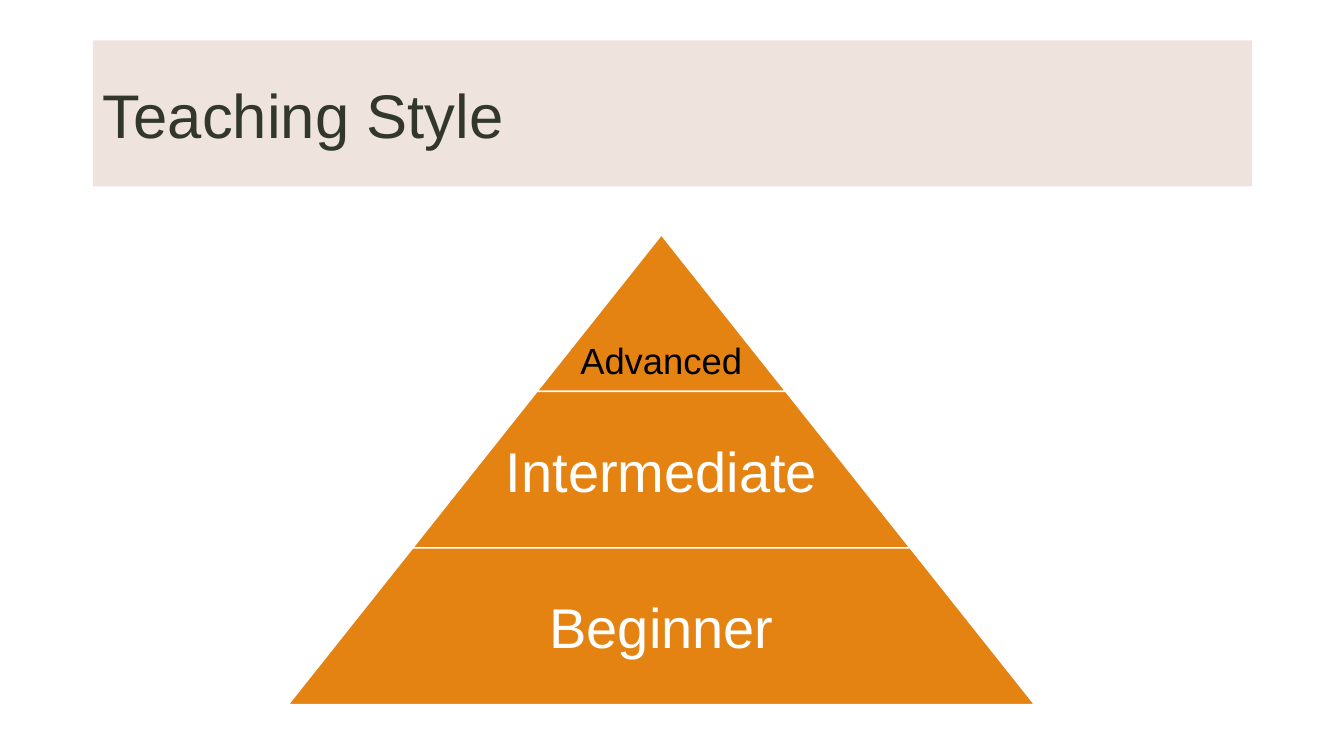
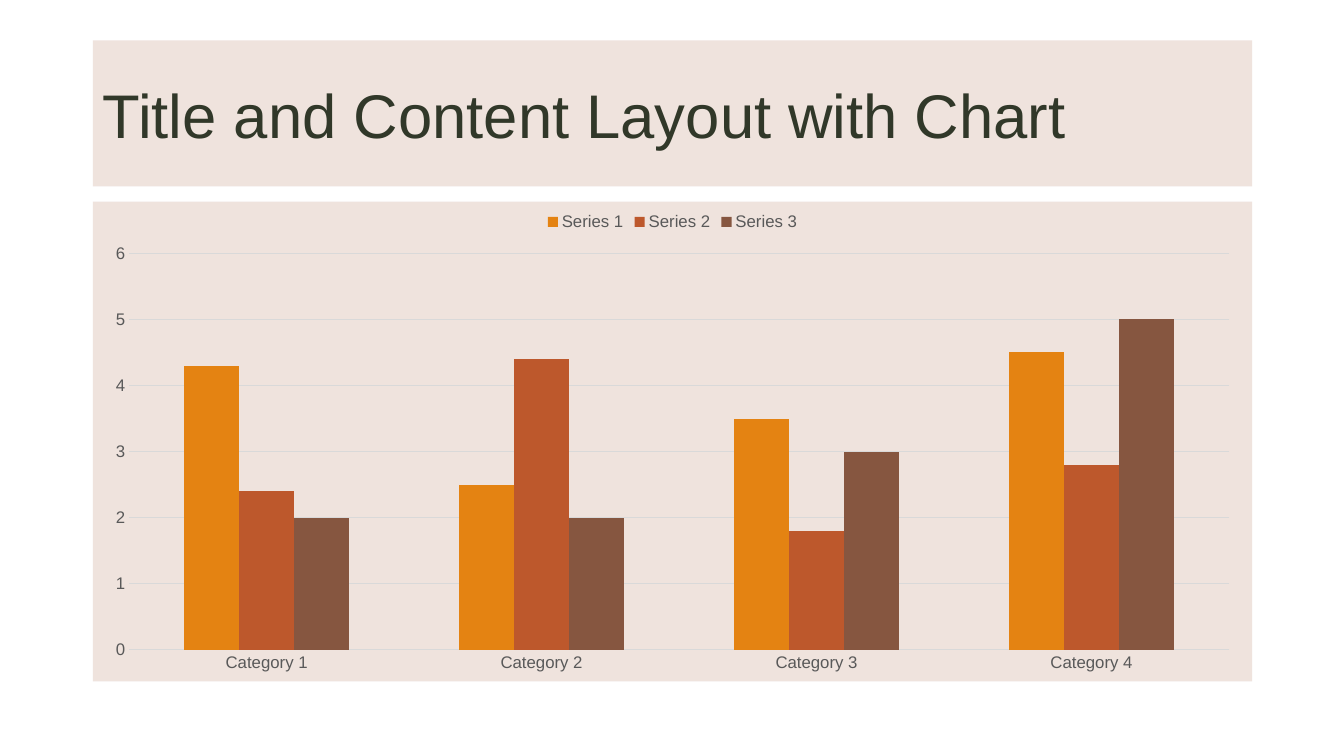
from lxml import etree
from pptx import Presentation
from pptx.chart.data import CategoryChartData
from pptx.dml.color import RGBColor
from pptx.enum.chart import XL_CHART_TYPE, XL_LEGEND_POSITION, XL_TICK_MARK
from pptx.enum.shapes import MSO_SHAPE
from pptx.enum.text import MSO_ANCHOR, MSO_AUTO_SIZE, PP_ALIGN
from pptx.oxml.ns import qn
from pptx.util import Inches, Pt

COLUMNS = XL_CHART_TYPE.COLUMN_CLUSTERED
LEGEND_TOP = XL_LEGEND_POSITION.TOP
NO_TICK = XL_TICK_MARK.NONE
TRAPEZOID = MSO_SHAPE.TRAPEZOID
MIDDLE = MSO_ANCHOR.MIDDLE
NO_AUTOFIT = MSO_AUTO_SIZE.NONE
LEFT, CENTER = PP_ALIGN.LEFT, PP_ALIGN.CENTER

FONT = "Arial"
BAND, DARK, ORANGE, RUST, BROWN = "EBDCD5", "313829", "E48312", "BD582C", "865640"
WHITE, BLACK, GRAY, GRID = "FFFFFF", "000000", "595959", "D9D9D9"
BAND_OPACITY = 80000
MARGIN, CONTENT_WIDTH = 0.92, 11.5


def color(hex_text):
    return RGBColor.from_string(hex_text)


def set_font(font, size, hex_text):
    font.name = FONT
    font.size = Pt(size)
    font.color.rgb = color(hex_text)


deck = Presentation()
deck.slide_width, deck.slide_height = Inches(13.33), Inches(7.5)

pages = []
for heading in ["Teaching Style", "Title and Content Layout with Chart"]:
    page = deck.slides.add_slide(deck.slide_layouts[5])
    title = page.shapes.title
    title.left, title.top = Inches(MARGIN), Inches(0.4)
    title.width, title.height = Inches(CONTENT_WIDTH), Inches(1.45)
    title.fill.solid()
    title.fill.fore_color.rgb = color(BAND)
    band_color = title.element.spPr.find(qn("a:solidFill")).find(qn("a:srgbClr"))
    etree.SubElement(band_color, qn("a:alpha")).set("val", str(BAND_OPACITY))
    frame = title.text_frame
    frame.text = heading
    frame.auto_size = NO_AUTOFIT
    frame.vertical_anchor = MIDDLE
    para = frame.paragraphs[0]
    para.alignment = LEFT
    set_font(para.font, 44, DARK)
    pages.append(page)

pyramid_page, chart_page = pages

PYRAMID_CENTER, PYRAMID_TOP = 6.56, 2.33
TIER_WIDTH, TIER_HEIGHT = 2.467, 1.553
for tier in range(3):
    width = TIER_WIDTH * (tier + 1)
    trapezoid = pyramid_page.shapes.add_shape(
        TRAPEZOID,
        Inches(PYRAMID_CENTER - width / 2),
        Inches(PYRAMID_TOP + TIER_HEIGHT * tier),
        Inches(width),
        Inches(TIER_HEIGHT),
    )
    trapezoid.adjustments[0] = TIER_WIDTH / 2 / TIER_HEIGHT
    trapezoid.shadow.inherit = False
    trapezoid.fill.solid()
    trapezoid.fill.fore_color.rgb = color(ORANGE)
    trapezoid.line.color.rgb = color(WHITE)
    trapezoid.line.width = Pt(1)

labels = [
    ("Advanced", 3.3, 2.9, 0.54, 26, BLACK),
    ("Intermediate", PYRAMID_TOP + TIER_HEIGHT, 3.6, TIER_HEIGHT, 40, WHITE),
    ("Beginner", PYRAMID_TOP + TIER_HEIGHT * 2, 4.81, TIER_HEIGHT, 40, WHITE),
]
for text, top, width, height, size, hex_text in labels:
    box = pyramid_page.shapes.add_textbox(
        Inches(PYRAMID_CENTER - width / 2), Inches(top), Inches(width), Inches(height)
    )
    frame = box.text_frame
    frame.word_wrap = True
    frame.vertical_anchor = MIDDLE
    frame.text = text
    para = frame.paragraphs[0]
    para.alignment = CENTER
    set_font(para.font, size, hex_text)

chart_data = CategoryChartData()
chart_data.categories = [f"Category {number}" for number in range(1, 5)]
chart_data.add_series("Series 1", (4.3, 2.5, 3.5, 4.5))
chart_data.add_series("Series 2", (2.4, 4.4, 1.8, 2.8))
chart_data.add_series("Series 3", (2, 2, 3, 5))
chart = chart_page.shapes.add_chart(
    COLUMNS, Inches(MARGIN), Inches(2), Inches(CONTENT_WIDTH), Inches(4.76), chart_data
).chart
set_font(chart.font, 12, GRAY)
chart.has_title = False
chart.has_legend = True
chart.legend.position = LEGEND_TOP
chart.legend.include_in_layout = False
set_font(chart.legend.font, 12, GRAY)

background = etree.Element(qn("c:spPr"))
background_fill = etree.SubElement(background, qn("a:solidFill"))
background_color = etree.SubElement(background_fill, qn("a:srgbClr"), val=BAND)
etree.SubElement(background_color, qn("a:alpha"), val=str(BAND_OPACITY))
background_line = etree.SubElement(background, qn("a:ln"))
etree.SubElement(background_line, qn("a:noFill"))
chart.element.find(qn("c:chart")).addnext(background)

plot = chart.plots[0]
plot.gap_width = 199
plot.overlap = 0
plot.vary_by_categories = False
for series, hex_text in zip(plot.series, [ORANGE, RUST, BROWN]):
    series.format.fill.solid()
    series.format.fill.fore_color.rgb = color(hex_text)

category_axis, value_axis = chart.category_axis, chart.value_axis
for axis in (category_axis, value_axis):
    axis.major_tick_mark = NO_TICK
    axis.minor_tick_mark = NO_TICK
    set_font(axis.tick_labels.font, 12, GRAY)
value_axis.minimum_scale = 0
value_axis.maximum_scale = 6
value_axis.major_unit = 1
value_axis.format.line.fill.background()
for line in (category_axis.format.line, value_axis.major_gridlines.format.line):
    line.color.rgb = color(GRID)
    line.width = Pt(0.75)

deck.save("out.pptx")
